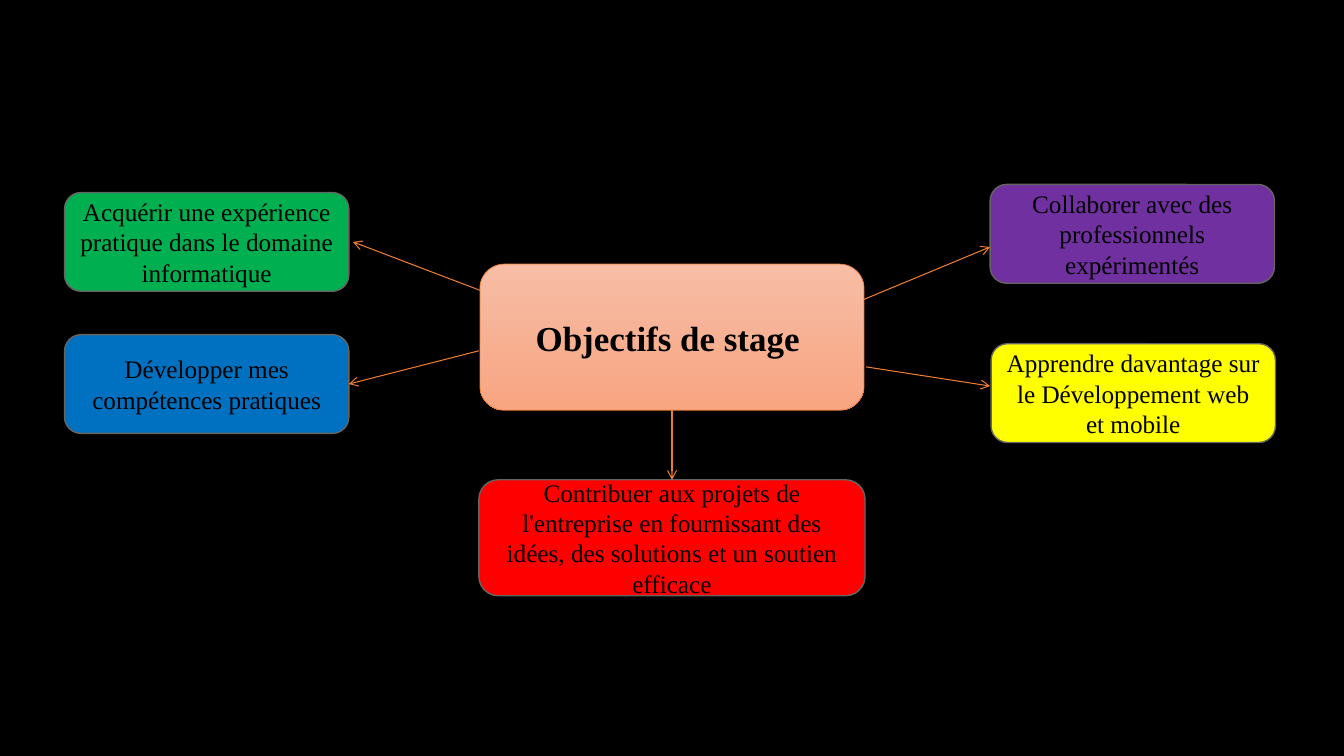
from dataclasses import dataclass

from lxml import etree
from pptx import Presentation
from pptx.dml.color import RGBColor
from pptx.enum.shapes import MSO_CONNECTOR, MSO_SHAPE
from pptx.enum.text import MSO_ANCHOR, PP_ALIGN
from pptx.oxml.ns import qn
from pptx.util import Emu, Pt

ROUNDED = MSO_SHAPE.ROUNDED_RECTANGLE
PROCESS = MSO_SHAPE.FLOWCHART_ALTERNATE_PROCESS
STRAIGHT = MSO_CONNECTOR.STRAIGHT
CENTER = PP_ALIGN.CENTER
MIDDLE = MSO_ANCHOR.MIDDLE
TOP, LEFT, BOTTOM, RIGHT = range(4)

EMU_PER_PX = 9144
BLANK_LAYOUT = 6


@dataclass(frozen=True)
class Theme:
    font: str = "Times New Roman"
    hub_size: int = 25
    goal_size: int = 18
    background: str = "000000"
    text: str = "000000"
    hub_top: str = "F7BDA5"
    hub_bottom: str = "F8A582"
    accent: str = "ED7D31"
    border: str = "666562"
    green: str = "00B050"
    blue: str = "0070C0"
    red: str = "FF0000"
    yellow: str = "FFFF00"
    purple: str = "7030A0"


def px(length):
    return Emu(length * EMU_PER_PX)


def rgb(value):
    return RGBColor.from_string(value)


class Diagram:
    def __init__(self, slide, theme):
        self.slide = slide
        self.theme = theme
        fill = slide.background.fill
        fill.solid()
        fill.fore_color.rgb = rgb(theme.background)

    def box(self, preset, area, border, border_width):
        box = self.slide.shapes.add_shape(preset, *map(px, area))
        box.shadow.inherit = False
        box.line.color.rgb = rgb(border)
        box.line.width = Pt(border_width)
        return box

    def text(self, box, words, size, bold=False):
        frame = box.text_frame
        frame.word_wrap = True
        frame.vertical_anchor = MIDDLE
        para = frame.paragraphs[0]
        para.alignment = CENTER
        span = para.add_run()
        span.text = words
        span.font.name = self.theme.font
        span.font.size = Pt(size)
        span.font.bold = bold
        span.font.color.rgb = rgb(self.theme.text)
        return span

    def outline(self, span, width):
        """Draw a line around the letters of a run."""
        line = etree.Element(qn("a:ln"), w=str(Pt(width)))
        fill = etree.SubElement(line, qn("a:solidFill"))
        etree.SubElement(fill, qn("a:srgbClr"), val=self.theme.text)
        span.font._element.insert(0, line)

    def hub(self, words, area):
        box = self.box(PROCESS, area, self.theme.accent, 0.5)
        box.fill.gradient()
        box.fill.gradient_angle = 270
        colors = (self.theme.hub_top, self.theme.hub_bottom)
        for position, (stop, color) in enumerate(zip(box.fill.gradient_stops, colors)):
            stop.position = position
            stop.color.rgb = rgb(color)
        span = self.text(box, words, self.theme.hub_size, bold=True)
        self.outline(span, 0.75)
        return box

    def goal(self, words, area, color):
        box = self.box(ROUNDED, area, self.theme.border, 1)
        box.fill.solid()
        box.fill.fore_color.rgb = rgb(color)
        self.text(box, words, self.theme.goal_size)
        return box

    def arrow(self, start, end):
        arrow = self.slide.shapes.add_connector(STRAIGHT, *map(px, start + end))
        arrow.line.color.rgb = rgb(self.theme.accent)
        arrow.line.width = Pt(0.75)
        etree.SubElement(arrow.line._get_or_add_ln(), qn("a:tailEnd"), type="arrow")
        etree.SubElement(arrow._element.spPr, qn("a:effectLst"))
        return arrow


def main():
    deck = Presentation()
    deck.slide_width, deck.slide_height = px(1333), px(750)
    theme = Theme()
    page = Diagram(deck.slides.add_slide(deck.slide_layouts[BLANK_LAYOUT]), theme)

    hub = page.hub("Objectifs de stage ", (476, 262, 381, 145))

    side = (282, 98)
    page.goal("Acquérir une expérience pratique dans le domaine informatique",
              (64, 191, *side), theme.green)
    skills = page.goal("Développer mes compétences pratiques",
                       (64, 332, *side), theme.blue)
    projects = page.goal("Contribuer aux projets de l'entreprise en fournissant des "
                         "idées, des solutions et un soutien efficace",
                         (475, 476, 383, 115), theme.red)
    page.goal("Apprendre davantage sur le Développement web et mobile",
              (983, 341, *side), theme.yellow)
    page.goal("Collaborer avec des professionnels expérimentés",
              (982, 183, *side), theme.purple)

    page.arrow((476, 288), (350, 240))
    page.arrow((859, 364), (982, 383))
    page.arrow((857, 297), (982, 245))
    page.arrow((475, 348), (346, 383)).end_connect(skills, RIGHT)
    to_projects = page.arrow((667, 407), (667, 476))
    to_projects.begin_connect(hub, BOTTOM)
    to_projects.end_connect(projects, TOP)

    deck.save("out.pptx")


if __name__ == "__main__":
    main()
